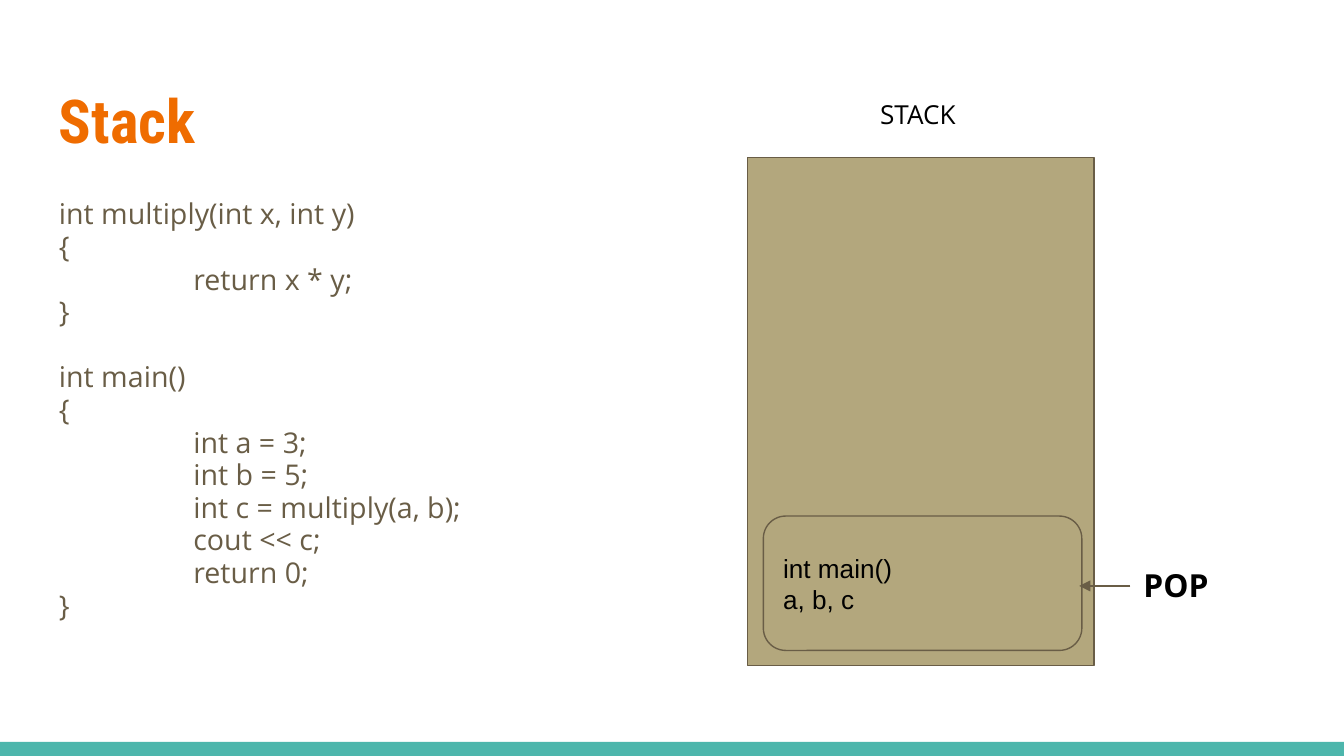
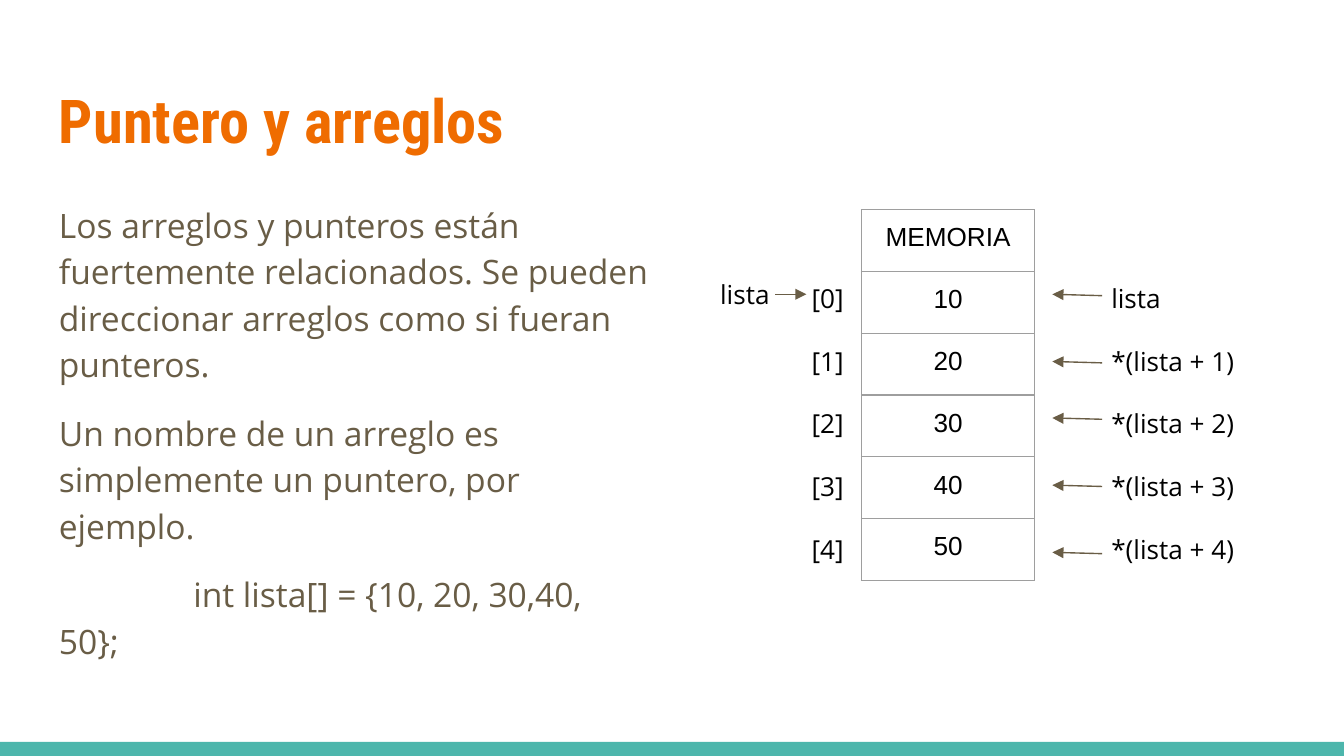
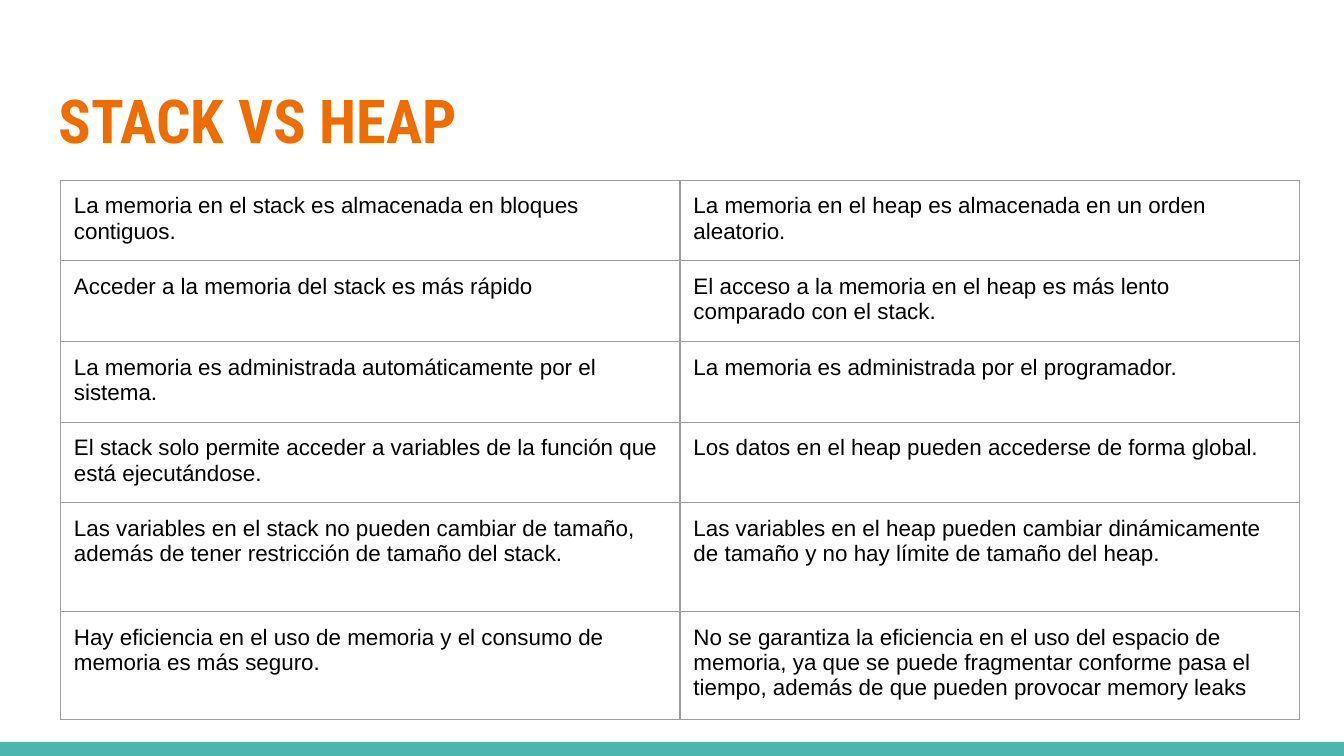
from dataclasses import dataclass

from lxml import etree
from pptx import Presentation
from pptx.dml.color import RGBColor
from pptx.enum.shapes import MSO_CONNECTOR, MSO_SHAPE
from pptx.enum.text import MSO_ANCHOR, PP_ALIGN
from pptx.oxml.ns import qn
from pptx.util import Pt

PX = 4572
WIDTH, HEIGHT = 2000, 1125
INSET = 20
TAB = 200
RECT, ROUNDED = MSO_SHAPE.RECTANGLE, MSO_SHAPE.ROUNDED_RECTANGLE
STRAIGHT = MSO_CONNECTOR.STRAIGHT
LEFT, CENTER = PP_ALIGN.LEFT, PP_ALIGN.CENTER
TOP, MIDDLE, BOTTOM = MSO_ANCHOR.TOP, MSO_ANCHOR.MIDDLE, MSO_ANCHOR.BOTTOM
COLORS = {
    "title": "EF6C00",
    "band": "4DB6AC",
    "body": "695D46",
    "stack": "B3A77D",
    "grid": "9E9E9E",
    "black": "000000",
}


@dataclass
class Font:
    name: str
    size: float
    color: str = "black"
    bold: bool = False


@dataclass
class Line:
    text: str
    before: float = 0
    after: float = 0
    margin: int = 0
    first: int = 0


TITLE = Font("Roboto Condensed", 32.4, "title", True)
CODE = Font("Open Sans", 15.3, "body")
BODY = Font("Open Sans", 18, "body")
LABEL = Font("Open Sans", 14)
ACTION = Font("Open Sans", 17, bold=True)
FRAME = Font("Arial", 14)
CELL = Font("Arial", 12)


def rgb(name):
    return RGBColor.from_string(COLORS[name])


def emu(lengths):
    return [length * PX for length in lengths]


class Deck:
    def __init__(self):
        self.prs = Presentation()
        self.prs.slide_width, self.prs.slide_height = emu((WIDTH, HEIGHT))
        self.slide = None

    def new_slide(self, title):
        self.slide = self.prs.slides.add_slide(self.prs.slide_layouts[6])
        self.shape(RECT, (0, 1104, WIDTH, 21), "band")
        self.text((68, 98, 1864, 154), [title], TITLE, anchor=BOTTOM)

    def set_lines(self, frame, lines, font, align=LEFT, spacing=None):
        for index, line in enumerate(lines):
            if isinstance(line, str):
                line = Line(line)
            paragraph = frame.paragraphs[0] if index == 0 else frame.add_paragraph()
            paragraph.text = line.text
            paragraph.alignment = align
            paragraph.space_before = Pt(line.before)
            paragraph.space_after = Pt(line.after)
            if spacing:
                paragraph.line_spacing = spacing
            properties = paragraph._p.get_or_add_pPr()
            properties.set("marL", str(line.margin * PX))
            properties.set("indent", str(line.first * PX))
            paragraph.font.name = font.name
            paragraph.font.size = Pt(font.size)
            paragraph.font.bold = font.bold
            paragraph.font.color.rgb = rgb(font.color)

    def fill_frame(self, frame, lines, font, anchor, **layout):
        frame.word_wrap = True
        frame.vertical_anchor = anchor
        frame.margin_left = frame.margin_right = INSET * PX
        frame.margin_top = frame.margin_bottom = INSET * PX
        self.set_lines(frame, lines, font, **layout)

    def text(self, box, lines, font, anchor=TOP, **layout):
        frame = self.slide.shapes.add_textbox(*emu(box)).text_frame
        self.fill_frame(frame, lines, font, anchor, **layout)

    def shape(self, preset, box, fill, line=None, lines=(), font=None):
        shape = self.slide.shapes.add_shape(preset, *emu(box))
        shape.shadow.inherit = False
        shape.fill.solid()
        shape.fill.fore_color.rgb = rgb(fill)
        if line:
            shape.line.color.rgb = rgb(line)
            shape.line.width = Pt(0.75)
        else:
            shape.line.fill.background()
        if lines:
            self.fill_frame(shape.text_frame, lines, font, MIDDLE)

    def arrow(self, *ends):
        arrow = self.slide.shapes.add_connector(STRAIGHT, *emu(ends))
        arrow.line.color.rgb = rgb("body")
        arrow.line.width = Pt(0.75)
        etree.SubElement(arrow.line._get_or_add_ln(), qn("a:tailEnd"), type="triangle")
        etree.SubElement(arrow._element.spPr, qn("a:effectLst"))

    def table(self, left, top, widths, heights, rows, font, align=LEFT):
        box = (left, top, sum(widths), sum(heights))
        table = self.slide.shapes.add_table(len(rows), len(widths), *emu(box)).table
        table.first_row = table.horz_banding = False
        for column, width in zip(table.columns, emu(widths)):
            column.width = width
        for row, height, texts in zip(table.rows, emu(heights), rows):
            row.height = height
            for cell, text in zip(row.cells, texts):
                cell.margin_left = cell.margin_right = INSET * PX
                cell.margin_top = cell.margin_bottom = INSET * PX
                self.border(cell)
                cell.fill.background()
                self.set_lines(cell.text_frame, [text], font, align)

    def border(self, cell):
        properties = cell._tc.get_or_add_tcPr()
        for side in ("lnL", "lnR", "lnT", "lnB"):
            line = etree.SubElement(properties, qn(f"a:{side}"), w=str(Pt(0.75)))
            fill = etree.SubElement(line, qn("a:solidFill"))
            etree.SubElement(fill, qn("a:srgbClr"), val=COLORS["grid"])


def stack_slide(deck):
    deck.new_slide("Stack")
    code = [
        "int multiply(int x, int y)",
        "{",
        Line("return x * y;", margin=TAB),
        "}",
        Line("int main()", before=17.5),
        "{",
        *(
            Line(statement, margin=TAB)
            for statement in (
                "int a = 3;",
                "int b = 5;",
                "int c = multiply(a, b);",
                "cout << c;",
                "return 0;",
            )
        ),
        "}",
    ]
    deck.text((68, 276, 768, 722), code, CODE, spacing=0.95)
    deck.shape(RECT, (1112, 234, 516, 756), "stack", "body")
    deck.text((1108, 126, 516, 88), ["STACK"], LABEL, align=CENTER)
    call = ["int main()", "a, b, c"]
    deck.shape(ROUNDED, (1136, 768, 474, 200), "stack", "body", call, FRAME)
    deck.text((1682, 822, 292, 98), ["POP"], ACTION)
    deck.arrow(1682, 872, 1606, 872)


def pointer_slide(deck):
    deck.new_slide("Puntero y arreglos")
    explanation = [
        "Los arreglos y punteros están fuertemente relacionados. "
        "Se pueden direccionar arreglos como si fueran punteros.",
        Line("Un nombre de un arreglo es simplemente un puntero, por ejemplo.", before=12),
        Line("int lista[] = {10, 20, 30,40, 50};", before=12, after=12, first=TAB),
    ]
    deck.text((68, 276, 920, 722), explanation, BODY, spacing=1.15)
    values = (10, 20, 30, 40, 50)
    memory = [["MEMORIA"], *([str(value)] for value in values)]
    deck.table(1282, 312, [258], [92] * len(memory), memory, FRAME, CENTER)

    deck.text((1052, 394, 184, 88), ["lista"], LABEL)
    deck.arrow(1154, 438, 1200, 438)
    indexes = [f"[{i}]" for i in range(len(values))]
    pointers = ["lista", *(f"*(lista + {i})" for i in range(1, len(values)))]
    for left, width, labels in ((1188, 88, indexes), (1634, 310, pointers)):
        spaced = [Line(label, before=16.8 if i else 0) for i, label in enumerate(labels)]
        deck.text((left, 400, width, 464), spaced, LABEL)
    for tip in (438, 538, 622, 722, 822):
        deck.arrow(1640, tip + 2, 1566, tip)


def comparison_slide(deck):
    deck.new_slide("STACK VS HEAP")
    comparison = [
        ("La memoria en el stack es almacenada en bloques contiguos.",
         "La memoria en el heap es almacenada en un orden aleatorio."),
        ("Acceder a la memoria del stack es más rápido",
         "El acceso a la memoria en el heap es más lento comparado con el stack."),
        ("La memoria es administrada automáticamente por el sistema.",
         "La memoria es administrada por el programador."),
        ("El stack solo permite acceder a variables de la función que está ejecutándose.",
         "Los datos en el heap pueden accederse de forma global."),
        ("Las variables en el stack no pueden cambiar de tamaño, "
         "además de tener restricción de tamaño del stack.",
         "Las variables en el heap pueden cambiar dinámicamente de tamaño "
         "y no hay límite de tamaño del heap."),
        ("Hay eficiencia en el uso de memoria y el consumo de memoria es más seguro.",
         "No se garantiza la eficiencia en el uso del espacio de memoria, "
         "ya que se puede fragmentar conforme pasa el tiempo, "
         "además de que pueden provocar memory leaks"),
    ]
    heights = [120] * 4 + [162, 144]
    deck.table(90, 268, [922, 922], heights, comparison, CELL)


def main():
    deck = Deck()
    stack_slide(deck)
    pointer_slide(deck)
    comparison_slide(deck)
    deck.prs.save("out.pptx")


if __name__ == "__main__":
    main()
